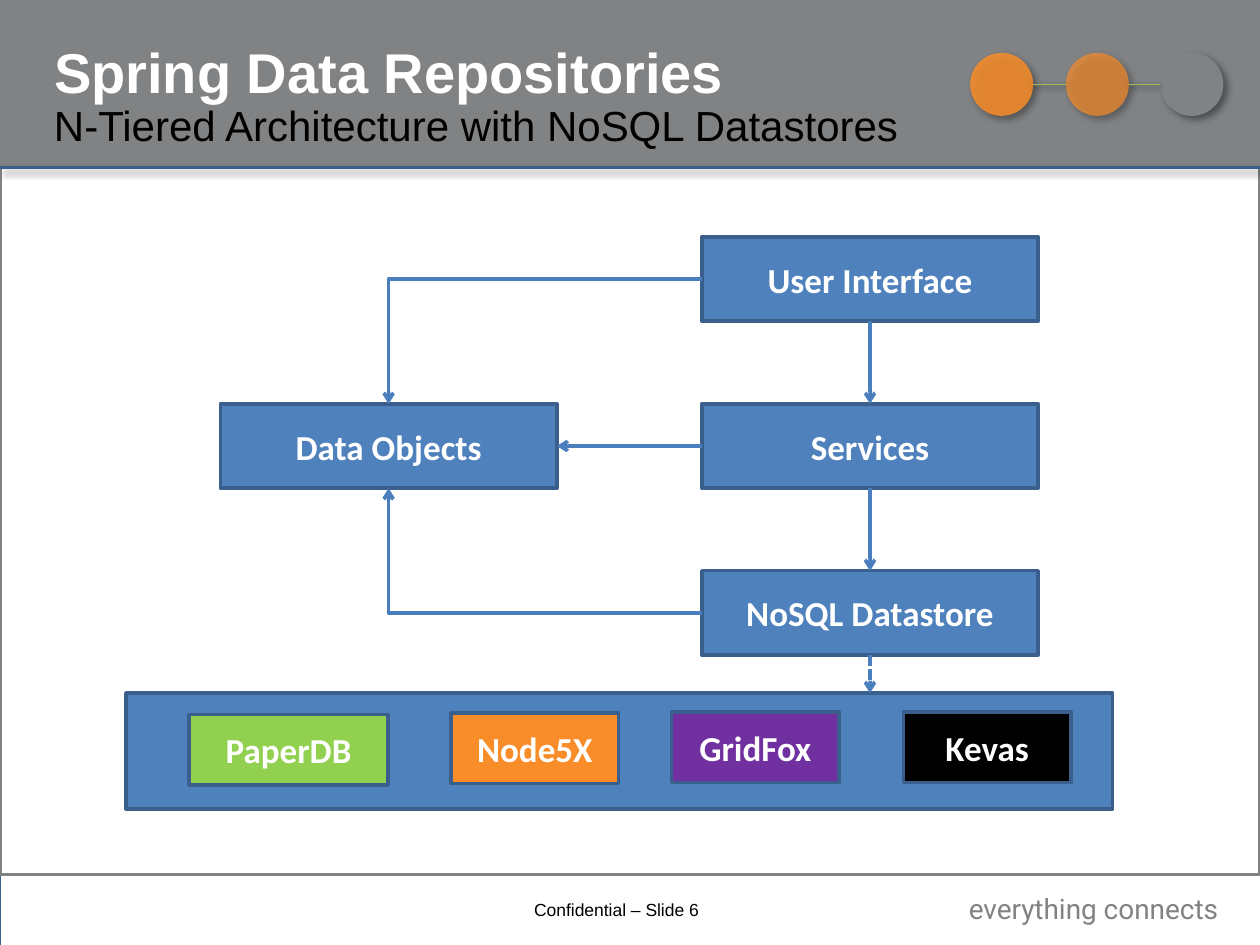
from lxml import etree
from pptx import Presentation
from pptx import util as u
from pptx.dml.color import RGBColor
from pptx.enum import dml, shapes, text
from pptx.oxml import ns

GREY = RGBColor(0x80, 0x82, 0x84)
WHITE = RGBColor(0xFF, 0xFF, 0xFF)
BLACK = RGBColor(0x00, 0x00, 0x00)
BLUE = RGBColor(0x4F, 0x81, 0xBD)
EDGE = RGBColor(0x3A, 0x5F, 0x8C)
ARROW = RGBColor(0x4B, 0x7E, 0xBC)
ORANGE = RGBColor(0xF9, 0x8D, 0x29)
GREEN = RGBColor(0x92, 0xD0, 0x50)
PURPLE = RGBColor(0x70, 0x30, 0xA0)
LINK = RGBColor(0x9B, 0xBB, 0x59)

TOP, LEFT, BOTTOM, RIGHT = range(4)
LABEL = {"name": "Calibri", "size": u.Pt(20), "bold": True}
CIRCLE_SHADOW = (40, 4, 3, 45)
LINK_SHADOW = (38, 3.1, 1.6, 90)
BAR_SHADOW = (26, 4, 3, 45)


def add_child(parent, tag, **attributes):
    """Append a DrawingML element and return it."""
    child = etree.SubElement(parent, ns.qn(tag))
    for name, value in attributes.items():
        child.set(name, str(value))
    return child


def set_shadow(element, shadow=None):
    """Give a shape an outer black shadow, or an empty effect list."""
    properties = element.spPr
    for old in properties.findall(ns.qn("a:effectLst")):
        properties.remove(old)
    effects = add_child(properties, "a:effectLst")
    if shadow:
        opacity, blur, distance, angle = shadow
        outer = add_child(effects, "a:outerShdw", blurRad=int(u.Pt(blur)),
                          dist=int(u.Pt(distance)), dir=angle * 60000,
                          algn="tl", rotWithShape=0)
        color = add_child(outer, "a:srgbClr", val="000000")
        add_child(color, "a:alpha", val=opacity * 1000)


def write(shape, words, color, font, align=text.PP_ALIGN.LEFT, **frame_format):
    """Put one formatted paragraph into a shape."""
    frame = shape.text_frame
    settings = {"word_wrap": True, "vertical_anchor": text.MSO_ANCHOR.MIDDLE,
                "auto_size": text.MSO_AUTO_SIZE.NONE, **frame_format}
    for name, value in settings.items():
        setattr(frame, name, value)
    para = frame.paragraphs[0]
    para.alignment = align
    span = para.add_run()
    span.text = words
    for name, value in font.items():
        setattr(span.font, name, value)
    span.font.color.rgb = color


def add_box(page, place, fill, line=EDGE, width=2, opacity=100, shadow=None,
            kind=shapes.MSO_SHAPE.RECTANGLE):
    """Add a filled preset shape; place is left, top, width, height."""
    box = page.shapes.add_shape(kind, *map(u.Inches, place))
    box.fill.solid()
    box.fill.fore_color.rgb = fill
    if opacity < 100:
        color = box.fill._xPr.find(".//" + ns.qn("a:srgbClr"))
        add_child(color, "a:alpha", val=opacity * 1000)
    if line is None:
        box.line.fill.background()
    else:
        box.line.color.rgb = line
        box.line.width = u.Pt(width)
    box.shadow.inherit = False
    set_shadow(box._element, shadow)
    return box


def add_node(page, label, place, fill=BLUE):
    """Add a box with a centred bold label."""
    node = add_box(page, place, fill)
    write(node, label, WHITE, LABEL, text.PP_ALIGN.CENTER)
    return node


def add_line(page, start, end, color, width, shadow=None,
             kind=shapes.MSO_CONNECTOR.STRAIGHT):
    """Add a connector between two points given as lengths."""
    line = page.shapes.add_connector(kind, *start, *end)
    line.line.color.rgb = color
    line.line.width = u.Pt(width)
    set_shadow(line._element, shadow)
    return line


def site_point(box, site):
    """Return the middle of one side of a box."""
    center = box.left + box.width // 2
    middle = box.top + box.height // 2
    return {TOP: (center, box.top), LEFT: (box.left, middle),
            BOTTOM: (center, box.top + box.height),
            RIGHT: (box.left + box.width, middle)}[site]


def add_arrow(page, source, source_site, target, target_site, end=None):
    """Join two boxes; end overrides the point where the arrow stops."""
    start = site_point(source, source_site)
    stop = end or site_point(target, target_site)
    bent = start[0] != stop[0] and start[1] != stop[1]
    kind = shapes.MSO_CONNECTOR.ELBOW if bent else shapes.MSO_CONNECTOR.STRAIGHT
    arrow = add_line(page, start, stop, ARROW, 2, kind=kind)
    if bent:
        geometry = arrow._element.spPr.find(ns.qn("a:prstGeom"))
        geometry.set("prst", "bentConnector2")
    arrow.begin_connect(source, source_site)
    if end is None:
        arrow.end_connect(target, target_site)
    else:
        arrow.line.dash_style = dml.MSO_LINE.SQUARE_DOT
    add_child(arrow.line._get_or_add_ln(), "a:tailEnd", type="arrow")


def add_frame(page):
    """Draw the footer, the white panel and the header motif."""
    page.background.fill.solid()
    page.background.fill.fore_color.rgb = GREY
    footer = add_box(page, (0, 6.92, 10, 0.58), WHITE, width=0.25)
    write(footer, "everything connects", GREY,
          {"name": "Roboto", "size": u.Pt(16)}, text.PP_ALIGN.RIGHT,
          margin_right=u.Inches(0.33))
    add_line(page, (0, u.Inches(6.92)), (u.Inches(10), u.Inches(6.92)), GREY, 0.75)
    add_box(page, (0, 1.33, 10, 5.61), WHITE, GREY)
    for left, fill, opacity in ((9.21, GREY, 100), (8.46, ORANGE, 70),
                                (7.7, ORANGE, 85)):
        add_box(page, (left, 0.42, 0.5, 0.5), fill, None, opacity=opacity,
                shadow=CIRCLE_SHADOW, kind=shapes.MSO_SHAPE.OVAL)
    for left, right in ((8.2, 8.46), (8.96, 9.21)):
        add_line(page, (u.Inches(left), u.Inches(0.67)),
                 (u.Inches(right), u.Inches(0.67)), LINK, 1, LINK_SHADOW)
    add_box(page, (0, 1.33, 10, 0), BLACK, opacity=35, shadow=BAR_SHADOW)
    note = page.shapes.add_textbox(*map(u.Inches, (4.14, 7.08, 1.61, 0.27)))
    write(note, "Confidential \u2013 Slide 6", BLACK,
          {"name": "Arial", "size": u.Pt(10)}, word_wrap=False)


def add_heading(page):
    """Place the title and the line under it."""
    title = page.shapes.title
    place = {"left": 0.33, "top": 0.25, "width": 6.75, "height": 0.63}
    for name, value in place.items():
        setattr(title, name, u.Inches(value))
    write(title, "Spring Data Repositories", WHITE,
          {"name": "Arial", "size": u.Pt(32), "bold": True})
    subtitle = page.shapes.add_textbox(*map(u.Inches, (0.33, 0.71, 7.25, 0.56)))
    write(subtitle, "N-Tiered Architecture with NoSQL Datastores", BLACK,
          {"name": "Arial", "size": u.Pt(24)})


def add_architecture(page):
    """Draw the tiers, the datastores and the arrows between them."""
    band = add_box(page, (1, 5.5, 7.83, 0.92), BLUE)
    tiers = [add_node(page, label, (5.57, 1.88 + 1.325 * row, 2.67, 0.67))
             for row, label in enumerate(("User Interface", "Services",
                                          "NoSQL Datastore"))]
    objects = add_node(page, "Data Objects", (1.75, 1.88 + 1.325, 2.67, 0.67))
    for upper, lower in zip(tiers, tiers[1:]):
        add_arrow(page, upper, BOTTOM, lower, TOP)
    for tier, side in zip(tiers, (TOP, RIGHT, BOTTOM)):
        add_arrow(page, tier, LEFT, objects, side)
    stores = (("PaperDB", 1.5, 5.67, 1.58, GREEN), ("Node5X", 3.58, 5.66, 1.33, ORANGE),
              ("GridFox", 5.33, 5.65, 1.33, PURPLE), ("Kevas", 7.17, 5.65, 1.33, BLACK))
    for label, left, top, width, fill in stores:
        add_node(page, label, (left, top, width, 0.56), fill)
    center = site_point(tiers[-1], BOTTOM)[0]
    add_arrow(page, tiers[-1], BOTTOM, band, TOP, end=(center, band.top))


def main():
    """Build and save the deck."""
    deck = Presentation()
    deck.slide_width, deck.slide_height = u.Inches(10), u.Inches(7.5)
    page = deck.slides.add_slide(deck.slide_layouts[5])
    add_frame(page)
    add_heading(page)
    add_architecture(page)
    deck.save("out.pptx")


main()
